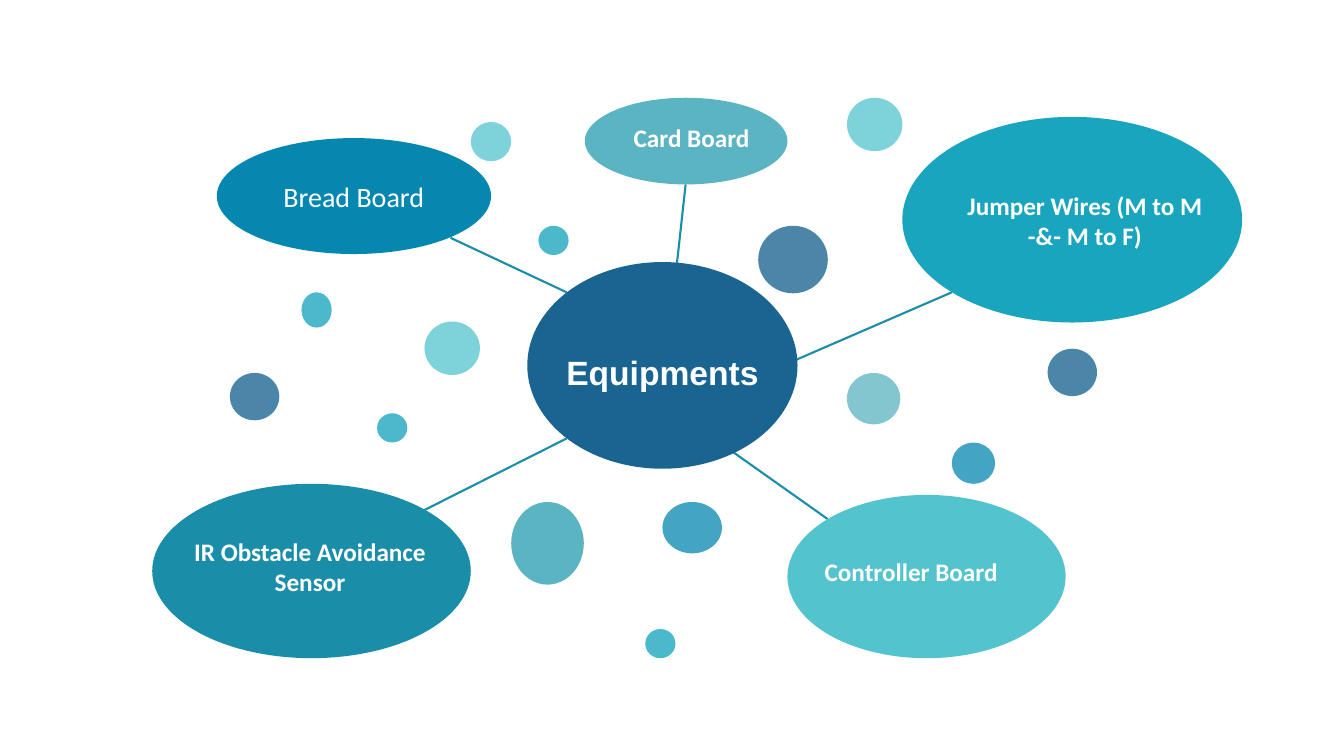
from dataclasses import dataclass

from lxml.etree import SubElement
from pptx import Presentation
from pptx.dml.color import RGBColor
from pptx.enum.shapes import MSO_CONNECTOR, MSO_SHAPE
from pptx.enum.text import MSO_ANCHOR, PP_ALIGN
from pptx.oxml.ns import qn
from pptx.util import Inches, Pt


@dataclass(frozen=True)
class Theme:
    navy: str = "196491"
    blue: str = "0587AF"
    teal: str = "1A8EA9"
    cyan: str = "19A5BE"
    sage: str = "5AB4C1"
    aqua: str = "53C3CD"
    white: str = "FFFFFF"
    title: int = 24
    large: int = 20
    label: int = 18
    line: float = 1.5
    head: str = "Arial"
    body: str = "Calibri"


THEME = Theme()

SPOKES = [
    ((6.43, 3.89), (8.21, 5.15)),
    ((5.62, 4.35), (4.21, 5.06)),
    ((5.62, 2.9), (4.47, 2.36)),
    ((6.57, 3.93), (6.8, 1.83)),
    ((6.88, 4.01), (9.44, 2.9)),
]

OVALS = [
    ((5.23, 2.6, 2.68, 2.05), THEME.navy),
    ((8.95, 1.16, 3.37, 2.04), THEME.cyan),
    ((5.8, 0.97, 2.01, 0.86), THEME.sage),
    ((7.81, 4.91, 2.76, 1.62), THEME.aqua),
    ((5.07, 4.98, 0.72, 0.82), THEME.sage),
    ((1.51, 4.8, 3.16, 1.73), THEME.teal),
]

# Fill, opacity in percent, and the boxes of the dots that share them
DOTS = [
    (THEME.blue, 75, [(6.57, 4.98, 0.59, 0.51), (9.44, 4.39, 0.43, 0.41)]),
    (THEME.navy, 78, [(7.52, 2.24, 0.69, 0.67), (2.28, 3.7, 0.49, 0.47),
                      (10.39, 3.46, 0.49, 0.47)]),
    (THEME.aqua, 75, [(4.21, 3.19, 0.55, 0.53), (4.67, 1.21, 0.4, 0.39),
                      (8.4, 0.97, 0.55, 0.53)]),
    (THEME.sage, 75, [(8.4, 3.7, 0.53, 0.51)]),
    (THEME.cyan, 78, [(3.74, 4.1, 0.3, 0.29), (5.34, 2.24, 0.3, 0.29),
                      (6.4, 6.24, 0.3, 0.29), (2.99, 2.9, 0.3, 0.35)]),
]

LABELS = [
    ("IR Obstacle Avoidance Sensor", (1.79, 5.27, 2.57, 0.71), PP_ALIGN.CENTER),
    ("Jumper Wires (M to M -&- M to F)", (9.44, 1.84, 2.64, 0.71), PP_ALIGN.CENTER),
    ("Controller Board", (8.08, 5.47, 2.31, 0.4), PP_ALIGN.LEFT),
    ("Card Board", (5.81, 1.16, 2.1, 0.4), PP_ALIGN.CENTER),
]


def add_spoke(slide, start, end):
    line = slide.shapes.add_connector(
        MSO_CONNECTOR.STRAIGHT, *map(Inches, start + end))
    line.line.color.rgb = RGBColor.from_string(THEME.teal)
    line.line.width = Pt(THEME.line)
    SubElement(line._element.spPr, qn("a:effectLst"))


def add_oval(slide, box, color, alpha=100):
    """Add a borderless ellipse; alpha is its opacity in percent."""
    oval = slide.shapes.add_shape(MSO_SHAPE.OVAL, *map(Inches, box))
    oval.shadow.inherit = False
    oval.fill.solid()
    oval.fill.fore_color.rgb = RGBColor.from_string(color)
    oval.line.fill.background()
    if alpha < 100:
        tint = oval._element.spPr.find(f"{qn('a:solidFill')}/{qn('a:srgbClr')}")
        SubElement(tint, qn("a:alpha"), val=str(alpha * 1000))
    return oval


def set_text(shape, text, size, face=THEME.body, bold=True, align=PP_ALIGN.CENTER):
    frame = shape.text_frame
    frame.word_wrap = True
    frame.text = text
    para = frame.paragraphs[0]
    para.alignment = align
    font = para.runs[0].font
    font.name, font.size, font.bold = face, Pt(size), bold
    font.color.rgb = RGBColor.from_string(THEME.white)


def add_label(slide, text, box, size=THEME.label, **style):
    label = slide.shapes.add_textbox(*map(Inches, box))
    set_text(label, text, size, **style)


def main():
    deck = Presentation()
    deck.slide_width, deck.slide_height = Inches(13.33), Inches(7.5)
    slide = deck.slides.add_slide(deck.slide_layouts[6])

    for start, end in SPOKES:
        add_spoke(slide, start, end)
    for box, color in OVALS:
        add_oval(slide, box, color)

    bread = add_oval(slide, (2.15, 1.37, 2.72, 1.15), THEME.blue)
    bread.text_frame.vertical_anchor = MSO_ANCHOR.MIDDLE
    set_text(bread, "Bread Board", THEME.large, bold=False)
    add_label(slide, "Equipments", (5.41, 3.44, 2.32, 0.5),
              size=THEME.title, face=THEME.head)

    for color, alpha, boxes in DOTS:
        for box in boxes:
            add_oval(slide, box, color, alpha)
    for text, box, align in LABELS:
        add_label(slide, text, box, align=align)

    deck.save("out.pptx")


if __name__ == "__main__":
    main()
